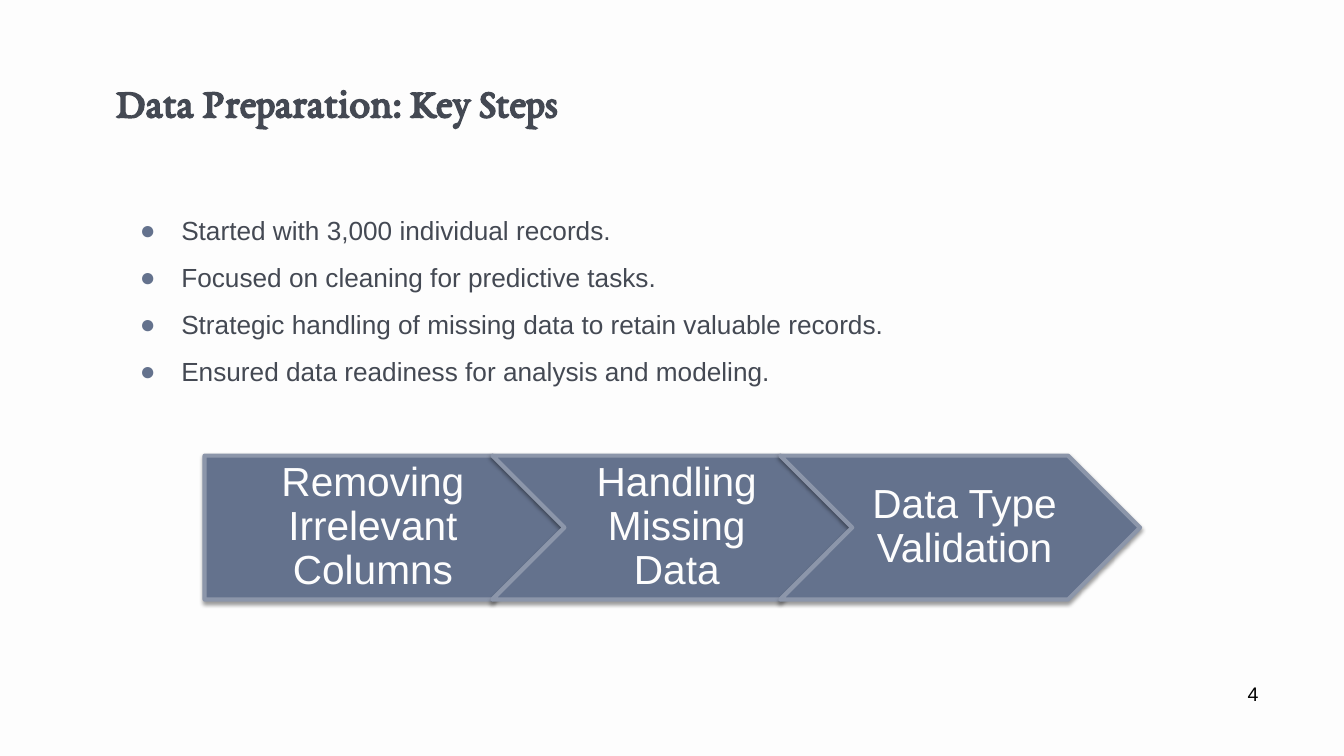
from dataclasses import dataclass

from lxml import etree
from pptx import Presentation
from pptx.dml.color import RGBColor
from pptx.enum.shapes import MSO_SHAPE
from pptx.enum.text import MSO_ANCHOR, MSO_AUTO_SIZE, PP_ALIGN
from pptx.oxml.ns import qn
from pptx.util import Pt

LEFT, CENTER = PP_ALIGN.LEFT, PP_ALIGN.CENTER
TOP, MIDDLE = MSO_ANCHOR.TOP, MSO_ANCHOR.MIDDLE
PENTAGON, CHEVRON = MSO_SHAPE.PENTAGON, MSO_SHAPE.CHEVRON


@dataclass(frozen=True)
class Theme:
    paper: str = "FDFDFD"
    ink: str = "444953"
    accent: str = "64728D"
    edge: str = "8C96AA"
    black: str = "000000"
    title_font: str = "EB Garamond"
    body_font: str = "Arial"
    title_size: float = 30
    step_size: float = 29
    body_size: float = 18.7
    number_size: float = 14


T = Theme()

BULLETS = [
    "Started with 3,000 individual records.",
    "Focused on cleaning for predictive tasks.",
    "Strategic handling of missing data to retain valuable records.",
    "Ensured data readiness for analysis and modeling.",
]
STEPS = ["Removing Irrelevant Columns", "Handling Missing Data", "Data Type Validation"]


def rgb(value):
    return RGBColor.from_string(value)


def set_attrs(obj, values):
    for name, value in values.items():
        setattr(obj, name, value)


def format_frame(tf, margins=(7.2, 7.2, 7.2, 7.2), anchor=TOP, wrap=True):
    left, top, right, bottom = margins
    set_attrs(tf, {
        "auto_size": MSO_AUTO_SIZE.NONE, "word_wrap": wrap, "vertical_anchor": anchor,
        "margin_left": Pt(left), "margin_top": Pt(top),
        "margin_right": Pt(right), "margin_bottom": Pt(bottom),
    })


def write(p, text, size, color, font=T.body_font, bold=False, align=LEFT, spacing=1.0):
    set_attrs(p, {"alignment": align, "line_spacing": spacing})
    r = p.add_run()
    r.text = text
    set_attrs(r.font, {"name": font, "size": Pt(size), "bold": bold})
    r.font.color.rgb = rgb(color)


def add_bullet_mark(p):
    pPr = p._p.get_or_add_pPr()
    pPr.set("marL", str(Pt(48.24)))
    pPr.set("indent", str(Pt(-29.5)))
    color = etree.SubElement(pPr, qn("a:buClr"))
    etree.SubElement(color, qn("a:srgbClr"), val=T.accent)
    etree.SubElement(pPr, qn("a:buFont"), typeface=T.body_font)
    etree.SubElement(pPr, qn("a:buChar"), char="●")


def add_shadow(sp):
    effects = etree.SubElement(sp._element.spPr, qn("a:effectLst"))
    shadow = etree.SubElement(effects, qn("a:outerShdw"), blurRad=str(Pt(3.1)),
                              dist=str(Pt(1.6)), dir="5400000", rotWithShape="0")
    color = etree.SubElement(shadow, qn("a:srgbClr"), val=T.black)
    etree.SubElement(color, qn("a:alpha"), val="38000")


def add_title(s, text):
    sp = s.shapes.title
    set_attrs(sp, {"left": Pt(75.6), "top": Pt(46.8), "width": Pt(808.6), "height": Pt(60.5)})
    format_frame(sp.text_frame)
    write(sp.text_frame.paragraphs[0], text, T.title_size, T.ink, T.title_font, bold=True)


def add_bullets(s, items):
    tf = s.shapes.add_textbox(Pt(74.16), Pt(134.64), Pt(810), Pt(358.56)).text_frame
    format_frame(tf)
    for i, text in enumerate(items):
        p = tf.add_paragraph() if i else tf.paragraphs[0]
        add_bullet_mark(p)
        write(p, text, T.body_size, T.ink, spacing=1.5)


def add_process(s, steps):
    left, top, width, height, pitch = 146.16, 325.44, 257, 102.8, 205.6
    for i, text in enumerate(steps):
        kind, inset = (CHEVRON, 9.4) if i else (PENTAGON, 12.2)
        sp = s.shapes.add_shape(kind, Pt(left + i * pitch), Pt(top), Pt(width), Pt(height))
        sp.fill.solid()
        sp.fill.fore_color.rgb = rgb(T.accent)
        sp.line.color.rgb = rgb(T.edge)
        sp.line.width = Pt(3)
        add_shadow(sp)
        format_frame(sp.text_frame, (inset, 5.8, 2.9, 5.8), MIDDLE)
        write(sp.text_frame.paragraphs[0], text, T.step_size, T.paper,
              align=CENTER, spacing=0.9)


def add_page_number(s, text):
    tf = s.shapes.add_textbox(Pt(884.16), Pt(483.84), Pt(22.32), Pt(24.48)).text_frame
    format_frame(tf, (7.2, 3.6, 7.2, 3.6), wrap=False)
    write(tf.paragraphs[0], text, T.number_size, T.black)


def main():
    prs = Presentation()
    set_attrs(prs, {"slide_width": Pt(960), "slide_height": Pt(540)})
    s = prs.slides.add_slide(prs.slide_layouts[5])  # title only
    s.background.fill.solid()
    s.background.fill.fore_color.rgb = rgb(T.paper)

    # Heading and key points
    add_title(s, "Data Preparation: Key Steps")
    add_bullets(s, BULLETS)

    # Process arrows and page number
    add_process(s, STEPS)
    add_page_number(s, "4")

    prs.save("out.pptx")


if __name__ == "__main__":
    main()
